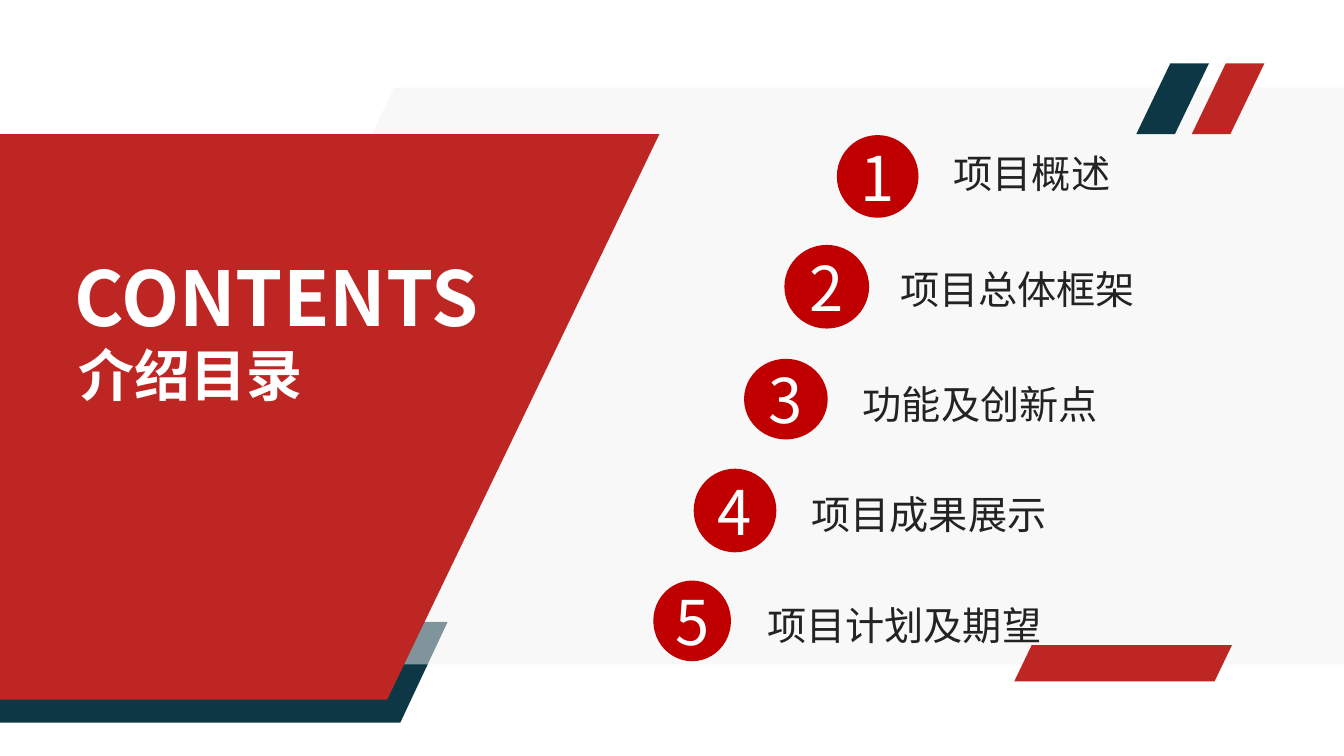
from lxml import etree
from pptx import Presentation
from pptx.dml.color import RGBColor
from pptx.enum import shapes, text
from pptx.oxml.ns import qn
from pptx.util import Inches, Pt

FONT = "Noto Sans CJK SC"
RED, NAVY, WHITE, INK = "BE2623", "0D3745", "FFFFFF", "232323"

# number circle box, label left, top and width, label
ITEMS = [
    ((8.3, 1.34, 0.81, 0.82), (9.36, 1.43, 1.76), "项目概述"),
    ((7.78, 2.43, 0.84, 0.83), (8.83, 2.58, 2.53), "项目总体框架"),
    ((7.38, 3.56, 0.83, 0.8), (8.46, 3.72, 2.53), "功能及创新点"),
    ((6.88, 4.65, 0.82, 0.83), (7.95, 4.81, 2.53), "项目成果展示"),
    ((6.48, 5.76, 0.77, 0.8), (7.51, 5.91, 2.92), "项目计划及期望"),
]


def paint(sp, color, alpha=None):
    sp.shadow.inherit = False
    sp.line.fill.background()
    sp.fill.solid()
    sp.fill.fore_color.rgb = RGBColor.from_string(color)
    if alpha is not None:
        clr = sp.fill._xPr.find(qn("a:solidFill"))[0]
        etree.SubElement(clr, qn("a:alpha"), val=str(alpha * 1000))


def write(tf, content, size, color, bold=False, align=text.PP_ALIGN.LEFT):
    tf.word_wrap = False
    tf.vertical_anchor = text.MSO_ANCHOR.MIDDLE
    p = tf.paragraphs[0]
    p.alignment = align
    r = p.add_run()
    r.text = content
    r.font.size, r.font.bold, r.font.name = Pt(size), bold, FONT
    r.font.color.rgb = RGBColor.from_string(color)
    etree.SubElement(r._r.get_or_add_rPr(), qn("a:ea"), typeface=FONT)


def add_preset(s, kind, box, color):
    sp = s.shapes.add_shape(kind, *map(Inches, box))
    paint(sp, color)
    return sp


def add_slanted(s, box, color):
    sp = add_preset(s, shapes.MSO_SHAPE.PARALLELOGRAM, box, color)
    sp.adjustments[0] = 0.481


def add_outline(s, points, color, alpha=None):
    start, *rest = [(Inches(x), Inches(y)) for x, y in points]
    fb = s.shapes.build_freeform(*start)
    fb.add_line_segments(rest, close=True)
    paint(fb.convert_to_shape(), color, alpha)


def add_label(s, box, content, **fmt):
    write(s.shapes.add_textbox(*map(Inches, box)).text_frame, content, **fmt)


def add_item(s, number, circle, label, content):
    sp = add_preset(s, shapes.MSO_SHAPE.OVAL, circle, "C00000")
    write(sp.text_frame, str(number), size=44, color=WHITE,
          align=text.PP_ALIGN.CENTER)
    add_label(s, (*label, 0.57), content, size=28, color=INK)


def main():
    prs = Presentation()
    prs.slide_width, prs.slide_height = Inches(13.33), Inches(7.5)
    s = prs.slides.add_slide(prs.slide_layouts[6])

    # Background panels and slanted accents
    add_outline(s, [(0, 6.17), (4.44, 6.17), (3.97, 7.17), (0, 7.17)], NAVY)
    add_outline(s, [(3.91, 0.87), (13.33, 0.87), (13.33, 6.59), (1.16, 6.59)],
                "F2F2F2", alpha=50)
    add_slanted(s, (11.27, 0.63, 0.72, 0.7), NAVY)
    add_slanted(s, (11.82, 0.63, 0.72, 0.7), RED)
    add_slanted(s, (10.06, 6.4, 2.16, 0.36), RED)
    add_outline(s, [(-0.01, 1.33), (6.54, 1.33), (3.84, 6.94), (-0.01, 6.94)],
                RED)

    # Title
    add_label(s, (0.64, 2.43, 4.25, 1.01), "CONTENTS",
              size=54, color=WHITE, bold=True)
    add_label(s, (0.68, 3.33, 2.45, 0.77), "介绍目录",
              size=40, color=WHITE, bold=True)

    # Numbered contents
    for number, item in enumerate(ITEMS, 1):
        add_item(s, number, *item)

    prs.save("out.pptx")


if __name__ == "__main__":
    main()
